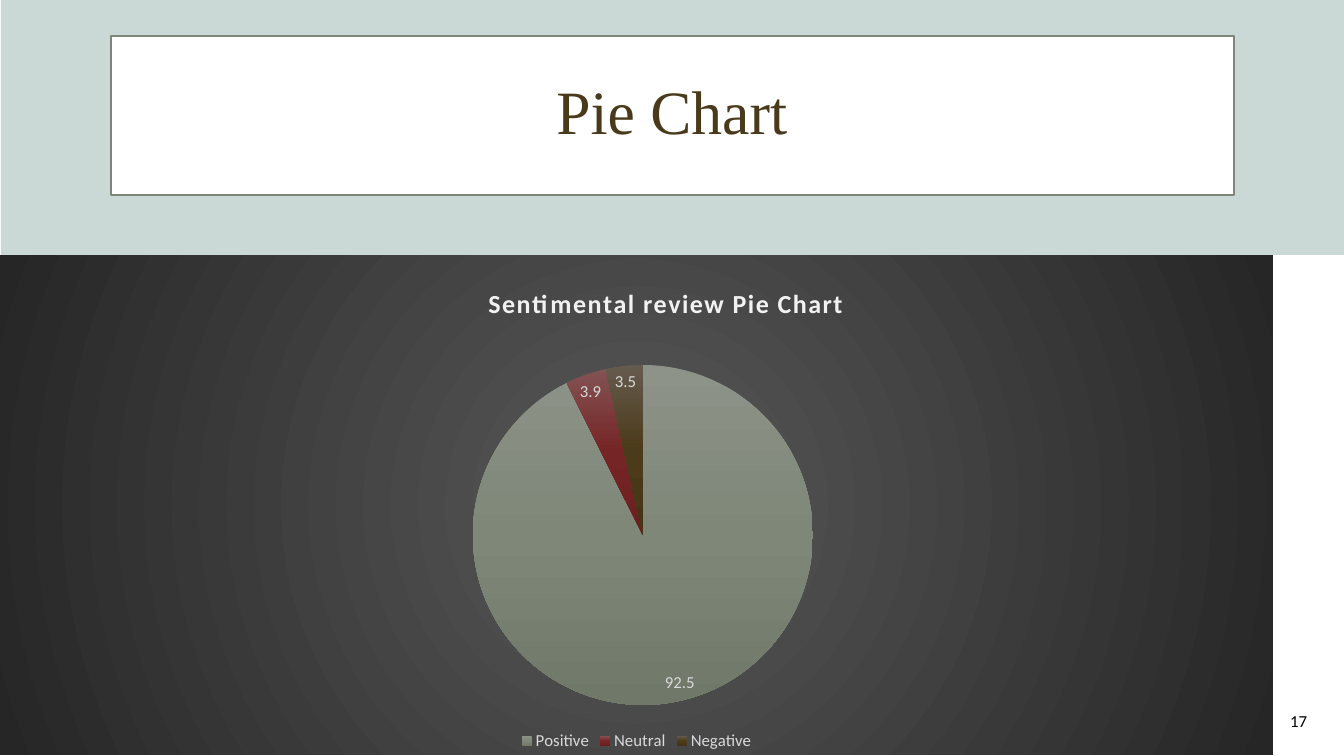
import lxml.etree
import pptx
import pptx.chart.data
import pptx.dml.color
import pptx.enum.chart
import pptx.enum.shapes
import pptx.enum.text
import pptx.oxml
import pptx.oxml.ns
import pptx.util

RGB = pptx.dml.color.RGBColor
ALIGN = pptx.enum.text.PP_ALIGN
MIDDLE = pptx.enum.text.MSO_ANCHOR.MIDDLE
qn = pptx.oxml.ns.qn

MIST = RGB(0xCA, 0xD8, 0xD6)
WHITE = RGB(0xFF, 0xFF, 0xFF)
SAGE = RGB(0x7E, 0x86, 0x79)
BROWN = RGB(0x4A, 0x3A, 0x1C)
BLACK = RGB(0x00, 0x00, 0x00)
SILVER = RGB(0xD9, 0xD9, 0xD9)
PALE = RGB(0xF2, 0xF2, 0xF2)
BACKDROP = [RGB(0x59, 0x59, 0x59), RGB(0x26, 0x26, 0x26)]
SENTIMENTS = [
    ("Positive", 92.5, [RGB(0x8D, 0x93, 0x88), RGB(0x7E, 0x87, 0x78), RGB(0x70, 0x78, 0x6A)]),
    ("Neutral", 3.9, [RGB(0x83, 0x52, 0x53), RGB(0x76, 0x25, 0x26), RGB(0x6C, 0x1E, 0x1F)]),
    ("Negative", 3.5, [RGB(0x65, 0x5B, 0x4E), RGB(0x4C, 0x3B, 0x1A), RGB(0x46, 0x35, 0x15)]),
]
DOWNWARD = '<a:lin ang="5400000" scaled="0"/>'
RADIAL = '<a:path path="circle"><a:fillToRect l="50000" t="50000" r="50000" b="50000"/></a:path>'


class Deck:
    SCALE = 914400 / 100.8
    HEADING = {"name": "Times New Roman", "size": 44, "color": BROWN}
    NUMBER = {"name": "Calibri", "size": 12, "color": BLACK}
    CHART_TEXT = {"name": "Calibri", "size": 12, "color": SILVER}
    CHART_TITLE = {"name": "Calibri", "size": 18.6, "bold": True, "color": PALE}

    def __init__(self, width, height):
        self.prs = pptx.Presentation()
        self.prs.slide_width, self.prs.slide_height = self.px(width, height)
        self.s = self.prs.slides.add_slide(self.prs.slide_layouts[5])

    def px(self, *lengths):
        return [pptx.util.Emu(round(n * self.SCALE)) for n in lengths]

    def style(self, font, values):
        for key, value in values.items():
            if key == "color":
                font.color.rgb = value
            else:
                setattr(font, key, pptx.util.Pt(value) if key == "size" else value)

    def rect(self, box, fill, line=None):
        sp = self.s.shapes.add_shape(pptx.enum.shapes.MSO_SHAPE.RECTANGLE, *self.px(*box))
        sp.shadow.inherit = False
        sp.fill.solid()
        sp.fill.fore_color.rgb = fill
        if line is None:
            sp.line.fill.background()
        else:
            sp.line.color.rgb = line
            sp.line.width = pptx.util.Pt(1)

    def fill_text(self, sp, text, align, values, spacing=1.0):
        tf = sp.text_frame
        tf.word_wrap = True
        tf.vertical_anchor = MIDDLE
        p = tf.paragraphs[0]
        p.alignment = align
        p.line_spacing = spacing
        r = p.add_run()
        r.text = text
        self.style(r.font, values)

    def title(self, box, text):
        sp = self.s.shapes.title
        sp.left, sp.top, sp.width, sp.height = self.px(*box)
        self.s.shapes._spTree.append(sp._element)
        self.fill_text(sp, text, ALIGN.CENTER, self.HEADING, 0.9)

    def text(self, box, text, align, values):
        self.fill_text(self.s.shapes.add_textbox(*self.px(*box)), text, align, values)

    def gradient(self, colors, direction):
        stops = "".join(
            f'<a:gs pos="{100000 * i // (len(colors) - 1)}"><a:srgbClr val="{c}"/></a:gs>'
            for i, c in enumerate(colors))
        return pptx.oxml.parse_xml(
            f'<a:gradFill {pptx.oxml.ns.nsdecls("a")} rotWithShape="1">'
            f'<a:gsLst>{stops}</a:gsLst>{direction}</a:gradFill>')

    def place(self, element, index, **values):
        for old in element.findall(qn("c:layout")):
            element.remove(old)
        layout = lxml.etree.Element(qn("c:layout"))
        manual = lxml.etree.SubElement(layout, qn("c:manualLayout"))
        for key, value in values.items():
            lxml.etree.SubElement(manual, qn("c:" + key)).set("val", str(value))
        element.insert(index, layout)

    def pie(self, box, title, rows):
        data = pptx.chart.data.CategoryChartData()
        data.categories = [name for name, _, _ in rows]
        data.add_series("Series 1", [value for _, value, _ in rows])
        kind = pptx.enum.chart.XL_CHART_TYPE.PIE
        chart = self.s.shapes.add_chart(kind, *self.px(*box), data).chart
        self.style(chart.font, {"name": "Calibri", "size": 10})
        space = chart._chartSpace

        chart.has_title = True
        p = chart.chart_title.text_frame.paragraphs[0]
        r = p.add_run()
        r.text = title
        self.style(r.font, self.CHART_TITLE)
        r.font._element.set("spc", "100")
        self.place(space.find(".//" + qn("c:title")), 1,
                   xMode="edge", yMode="edge", x=0.38, y=0.05)
        self.place(space.find(".//" + qn("c:plotArea")), 0, layoutTarget="inner",
                   xMode="edge", yMode="edge", x=0.37, y=0.22, w=0.27, h=0.68)

        chart.has_legend = True
        chart.legend.position = pptx.enum.chart.XL_LEGEND_POSITION.BOTTOM
        chart.legend.include_in_layout = False
        self.style(chart.legend.font, self.CHART_TEXT)

        plot = chart.plots[0]
        plot.vary_by_categories = True
        plot.has_data_labels = True
        labels = plot.data_labels
        labels.show_value = True
        labels.show_percentage = False
        labels.position = pptx.enum.chart.XL_LABEL_POSITION.BEST_FIT
        self.style(labels.font, self.CHART_TEXT)

        for i, (_, _, colors) in enumerate(rows):
            fmt = plot.series[0].points[i].format
            fmt.line.fill.background()
            fmt.fill.gradient()
            grad = space.findall(".//" + qn("a:gradFill"))[i]
            grad.getparent().replace(grad, self.gradient(colors, DOWNWARD))

        frame = lxml.etree.Element(qn("c:spPr"))
        frame.append(self.gradient(BACKDROP, RADIAL))
        line = lxml.etree.SubElement(frame, qn("a:ln"))
        lxml.etree.SubElement(line, qn("a:noFill"))
        space.find(qn("c:chart")).addnext(frame)


def main():
    deck = Deck(1344, 756)
    deck.rect((1, 0, 1343, 255), MIST)
    deck.rect((111, 36, 1123, 159), WHITE, SAGE)
    deck.title((42, 42, 1260, 146), "Pie Chart")
    deck.text((1015, 701, 302, 40), "17", ALIGN.RIGHT, deck.NUMBER)
    deck.pie((0, 255, 1273, 500), "Sentimental review Pie Chart", SENTIMENTS)
    deck.prs.save("out.pptx")


if __name__ == "__main__":
    main()
